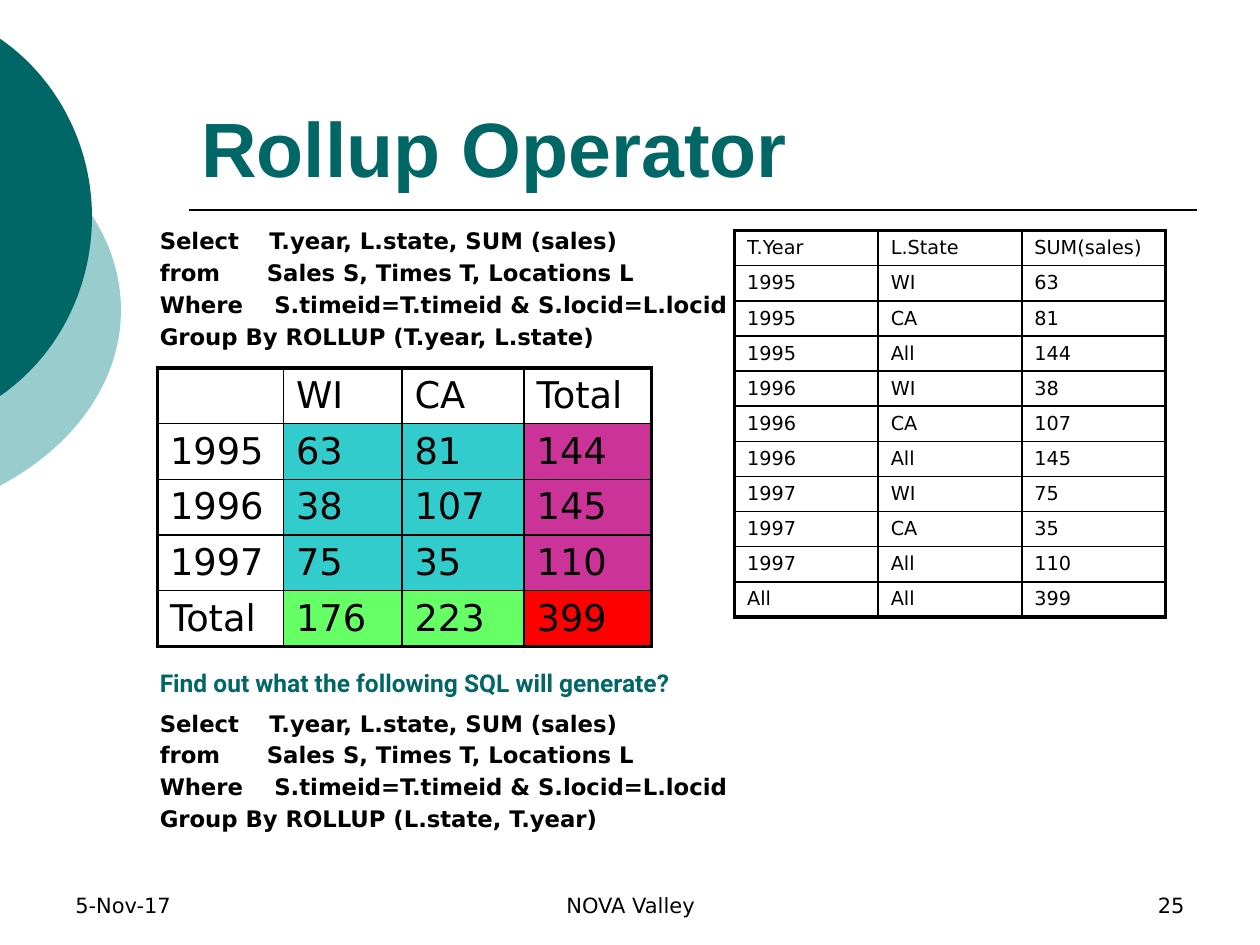
import pptx
import pptx.dml.color
import pptx.enum.shapes
import pptx.enum.text
import pptx.oxml
import pptx.oxml.ns
import pptx.util
from pptx.util import Inches

COLORS = {"black": "000000", "teal": "006666", "pale": "99CCCC", "cyan": "33CCCC",
          "magenta": "CC3399", "green": "66FF66", "red": "FF0000"}
BODY_FONT = "DejaVu Sans"
ALIGN = pptx.enum.text.PP_ALIGN
ANCHOR = pptx.enum.text.MSO_ANCHOR
NS = pptx.oxml.ns.nsdecls("a")
CROSSTAB = [["", "WI", "CA", "Total"], ["1995", "63", "81", "144"],
            ["1996", "38", "107", "145"], ["1997", "75", "35", "110"],
            ["Total", "176", "223", "399"]]
YEARS, STATES = ["1995", "1996", "1997"], ["WI", "CA", "All"]


def rgb(name):
    return pptx.dml.color.RGBColor.from_string(COLORS[name])


def add_run(p, text, size, color="black", font=BODY_FONT, bold=False):
    r = p.add_run()
    r.text = text
    r.font.size = pptx.util.Pt(size)
    r.font.name = font
    r.font.bold = bold
    r.font.color.rgb = rgb(color)


def add_text(s, box, lines, size, anchor=ANCHOR.TOP, align=ALIGN.LEFT, **style):
    sp = s.shapes.add_textbox(*map(Inches, box))
    tf = sp.text_frame
    tf.word_wrap = True
    tf.vertical_anchor = anchor
    for i, line in enumerate(lines):
        p = tf.paragraphs[0] if i == 0 else tf.add_paragraph()
        p.alignment = align
        add_run(p, line, size, **style)
    return sp


def add_query(s, top, group_by):
    """Add the SQL text, with a tab stop after each clause's keyword."""
    sp = add_text(s, (1.17, top, 5, 1.59),
                  ["Select\tT.year, L.state, SUM (sales)",
                   "from\tSales S, Times T, Locations L",
                   "Where\tS.timeid=T.timeid & S.locid=L.locid",
                   f"Group By ROLLUP ({group_by})"], 13, bold=True)
    paragraphs = sp.text_frame.paragraphs
    for p in paragraphs:
        p.space_after = pptx.util.Pt(2.6)
    for p, stop in zip(paragraphs, (0.87, 0.85, 0.91)):
        p._p.get_or_add_pPr().append(pptx.oxml.parse_xml(
            f'<a:tabLst {NS}><a:tab pos="{Inches(stop)}" algn="l"/></a:tabLst>'))


def add_arc(s, box, start, curves, color):
    """Fill the area between the slide's left edge and a chain of Bezier curves."""
    left, top, width, height = map(Inches, box)

    def point(xy):
        return f'<a:pt x="{Inches(xy[0]) - left}" y="{Inches(xy[1]) - top}"/>'

    fb = s.shapes.build_freeform(left, top)
    fb.add_line_segments([(left + width, top), (left + width, top + height)])
    sp = fb.convert_to_shape()
    bezier = "".join(f'<a:cubicBezTo>{"".join(map(point, curve))}</a:cubicBezTo>'
                     for curve in curves)
    outline = pptx.oxml.parse_xml(
        f'<a:path {NS} w="{width}" h="{height}"><a:moveTo>{point(start)}</a:moveTo>'
        f'{bezier}<a:close/></a:path>')
    old = sp._element.spPr.find(".//" + pptx.oxml.ns.qn("a:path"))
    old.getparent().replace(old, outline)
    sp.shadow.inherit = False
    sp.fill.solid()
    sp.fill.fore_color.rgb = rgb(color)
    sp.line.fill.background()


def add_rule(s, x1, x2, y):
    cx = s.shapes.add_connector(pptx.enum.shapes.MSO_CONNECTOR.STRAIGHT,
                                Inches(x1), Inches(y), Inches(x2), Inches(y))
    cx.line.width = pptx.util.Pt(1)
    cx.line.color.rgb = rgb("black")
    cx._element.spPr.append(pptx.oxml.parse_xml(f'<a:effectLst {NS}/>'))


def set_borders(cell, outer):
    """Draw all four sides, heavy on those named in outer."""
    tcPr = cell._tc.get_or_add_tcPr()
    for side in "LRTB":
        width = pptx.util.Pt(2.25 if side in outer else 1)
        tcPr.append(pptx.oxml.parse_xml(
            f'<a:ln{side} {NS} w="{width}"><a:solidFill>'
            f'<a:srgbClr val="{COLORS["black"]}"/></a:solidFill></a:ln{side}>'))


def add_grid(s, left, top, widths, height, rows, size, fill_of):
    """Add a table with a heavy frame; fill_of(row, column) names a color or None."""
    shape = s.shapes.add_table(len(rows), len(widths), Inches(left), Inches(top),
                               Inches(sum(widths)), Inches(height))
    table = shape.table
    table.first_row = table.horz_banding = False
    for col, width in zip(table.columns, widths):
        col.width = Inches(width)
    for i, values in enumerate(rows):
        table.rows[i].height = Inches(height / len(rows))
        for j, value in enumerate(values):
            cell = table.cell(i, j)
            cell.margin_top = cell.margin_bottom = Inches(0.04)
            sides = {"L": j == 0, "R": j == len(widths) - 1,
                     "T": i == 0, "B": i == len(rows) - 1}
            set_borders(cell, [side for side, on in sides.items() if on])
            color = fill_of(i, j)
            if color:
                cell.fill.solid()
                cell.fill.fore_color.rgb = rgb(color)
            else:
                cell.fill.background()
            cell.vertical_anchor = ANCHOR.MIDDLE
            if value:
                add_run(cell.text_frame.paragraphs[0], value, size)


def crosstab_fill(i, j):
    if i == 0 or j == 0:
        return None
    if i == 4:
        return "red" if j == 3 else "green"
    return "magenta" if j == 3 else "cyan"


def rollup_rows():
    """List the cross-tab's values as one row per year and state."""
    rows = [["T.Year", "L.State", "SUM(sales)"]]
    for year, values in zip(YEARS, CROSSTAB[1:]):
        rows += [[year, state, value] for state, value in zip(STATES, values[1:])]
    return rows + [["All", "All", CROSSTAB[-1][-1]]]


def main():
    prs = pptx.Presentation()
    prs.slide_width, prs.slide_height = Inches(10), Inches(7.5)
    s = prs.slides.add_slide(prs.slide_layouts[6])

    add_arc(s, (-3.54, 0.75, 4.5, 3.42), (-0.01, 1.06),
            [((0.6, 1.38), (0.96, 1.9), (0.96, 2.46)),
             ((0.96, 3.02), (0.6, 3.54), (-0.01, 3.86))], "pale")
    add_arc(s, (-2.65, 0, 3.38, 3.45), (-0.01, 0.3),
            [((0.46, 0.62), (0.73, 1.16), (0.73, 1.72)),
             ((0.73, 2.29), (0.46, 2.83), (-0.01, 3.15))], "teal")
    add_rule(s, 1.5, 9.5, 5 / 3)

    for left, width, text, align in [(0.5, 2.33, "5-Nov-17", ALIGN.LEFT),
                                     (3.42, 3.17, "NOVA Valley", ALIGN.CENTER),
                                     (7.17, 2.33, "25", ALIGN.RIGHT)]:
        add_text(s, (left, 6.83, width, 0.5), [text], 12, ANCHOR.BOTTOM, align)
    add_text(s, (1.5, 0.33, 8, 1.25), ["Rollup Operator"], 44, ANCHOR.BOTTOM,
             color="teal", font="Arial", bold=True)

    add_query(s, 1.75, "T.year, L.state")
    add_grid(s, 1.25, 2.92, [1, 0.94, 0.97, 1.01], 2.21, CROSSTAB, 21, crosstab_fill)
    add_grid(s, 5.83, 1.83, [1.14] * 3, 3.07, rollup_rows(), 11, lambda i, j: None)
    add_text(s, (1.17, 5.25, 8.67, 0.33),
             ["Find out what the following SQL will generate?"], 14,
             color="teal", font="Roboto", bold=True)
    add_query(s, 5.58, "L.state, T.year")

    prs.save("out.pptx")


if __name__ == "__main__":
    main()
